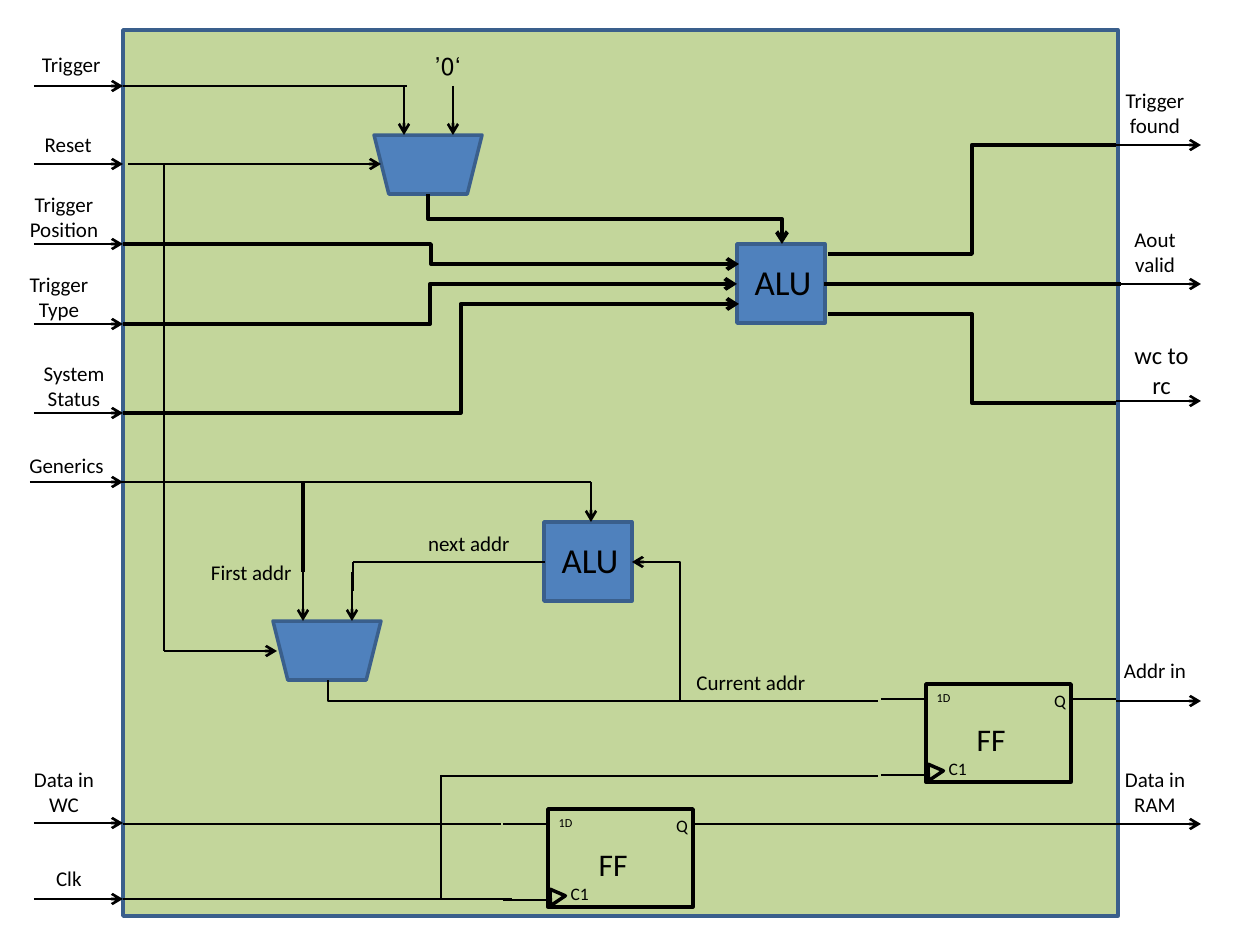
from lxml import etree
from pptx import Presentation
from pptx.dml.color import RGBColor
from pptx.enum.shapes import MSO_CONNECTOR, MSO_SHAPE
from pptx.enum.text import MSO_AUTO_SIZE, PP_ALIGN
from pptx.oxml.ns import qn
from pptx.util import Emu, Pt

STRAIGHT, ELBOW = MSO_CONNECTOR.STRAIGHT, MSO_CONNECTOR.ELBOW
RECT, TRAPEZOID, TRIANGLE = MSO_SHAPE.RECTANGLE, MSO_SHAPE.TRAPEZOID, MSO_SHAPE.ISOSCELES_TRIANGLE
CENTER, RIGHT = PP_ALIGN.CENTER, PP_ALIGN.RIGHT
FIT = MSO_AUTO_SIZE.SHAPE_TO_FIT_TEXT
BLACK, BLUE, EDGE, GREEN = "000000", "4F81BD", "3A5F8C", "C3D69B"
THICK = 2.25


def px(value):
    return Emu(round(value * 914400 / 126))


def rgb(value):
    return RGBColor.from_string(value)


class Diagram:
    """Draws the elements of a block diagram on one slide."""

    font = "Calibri"

    def __init__(self, slide):
        self.shapes = slide.shapes

    def block(self, kind, left, top, width, height, fill=None, edge=BLACK, turn=0):
        block = self.shapes.add_shape(kind, px(left), px(top), px(width), px(height))
        block.shadow.inherit = False
        block.rotation = turn
        if fill:
            block.fill.solid()
            block.fill.fore_color.rgb = rgb(fill)
        else:
            block.fill.background()
        block.line.color.rgb = rgb(edge)
        block.line.width = Pt(2)

    def label(self, text, left, top, width, height, size=12, align=CENTER):
        frame = self.shapes.add_textbox(px(left), px(top), px(width), px(height)).text_frame
        for name, value in {"word_wrap": True, "auto_size": FIT, "text": text}.items():
            setattr(frame, name, value)
        style = {"name": self.font, "size": Pt(size)}
        for paragraph in frame.paragraphs:
            paragraph.alignment = align
            paragraph._p.get_or_add_pPr().set("rtl", "1")
            for run in paragraph.runs:
                for name, value in style.items():
                    setattr(run.font, name, value)
                run.font.color.rgb = rgb(BLACK)

    def wire(self, x1, y1, x2, y2, arrow=None, weight=1.5, kind=STRAIGHT):
        wire = self.shapes.add_connector(kind, px(x1), px(y1), px(x2), px(y2))
        wire.line.color.rgb = rgb(BLACK)
        wire.line.width = Pt(weight)
        properties = wire.element.spPr
        if arrow:
            etree.SubElement(properties.find(qn("a:ln")), qn("a:" + arrow)).set("type", "arrow")
        etree.SubElement(properties, qn("a:effectLst"))
        return properties

    def step(self, x1, y1, x2, y2, arrow=None, bend=0.5):
        geometry = self.wire(x1, y1, x2, y2, arrow, THICK, ELBOW).find(qn("a:prstGeom"))
        values = geometry.find(qn("a:avLst"))
        if values is None:
            values = etree.SubElement(geometry, qn("a:avLst"))
        guide = etree.SubElement(values, qn("a:gd"))
        guide.set("name", "adj1")
        guide.set("fmla", f"val {round(bend * 100000)}")

    def drop(self, x1, y1, x2, y2, arrow=None):
        x, y = (x1 + x2) / 2, (y1 + y2) / 2
        run, fall = (x2 - x1) / 2, (y2 - y1) / 2
        properties = self.wire(x + fall, y - run, x - fall, y + run, arrow, THICK, ELBOW)
        properties.find(qn("a:xfrm")).set("rot", "16200000")

    def corner(self, x1, y1, x2, y2, arrow=None):
        properties = self.wire(x1, y1, x2, y2, arrow, kind=ELBOW)
        properties.find(qn("a:prstGeom")).set("prst", "bentConnector2")

    def mux(self, left, top):
        self.block(TRAPEZOID, left, top, 108, 59, BLUE, EDGE, 180)
        for x in (left + 30, left + 79):
            self.wire(x, top - 49, x, top, "tailEnd")

    def alu(self, left, top):
        self.block(RECT, left, top, 88, 79, BLUE, EDGE)
        self.label("ALU", left - 3, top + 10, 98, 55, 20)

    def flip_flop(self, left, top):
        self.block(RECT, left, top, 145, 98)
        self.block(TRIANGLE, left - 3, top + 79, 18, 14, turn=326.2)
        for x, y in ((-45, 91), (-45, 15), (145, 15)):
            self.wire(left + x, top + y, left + x + 45, top + y)
        self.label("FF", left + 34, top + 30, 58, 50, 18, RIGHT)
        self.label("C1", left + 4, top + 68, 55, 34, 10)
        self.label("1D", left - 9, top, 53, 28, 7)
        self.label("Q", left + 115, top, 38, 26, 10)


INPUTS = [
    ("Clk", 35, 859, 59, 38, RIGHT, 899),
    ("Reset", 25, 125, 79, 38, RIGHT, 164),
    ("Trigger", 25, 45, 88, 38, RIGHT, 86),
    ("Trigger\nType", 15, 265, 88, 63, CENTER, 324),
    ("Trigger\nPosition", 15, 185, 98, 63, CENTER, 244),
    ("System\nStatus", 25, 354, 98, 63, CENTER, 413),
    ("Data in WC", 15, 760, 98, 102, CENTER, 823),
    ("Generics", 5, 446, 123, 77, CENTER, 482),
]
OUTPUTS = [
    ("wc to rc", 1120, 334, 83, 72, 14, 401),
    ("Data in RAM", 1106, 760, 98, 63, 12, 824),
    ("Addr in", 1106, 651, 98, 38, 12, 701),
    ("Aout valid", 1106, 220, 98, 63, 12, 284),
    ("Trigger found", 1106, 81, 98, 63, 12, 145),
]
WIRES = [
    (128, 164, 381, 164, "tailEnd"),
    (123, 86, 407, 86),
    (123, 899, 512, 899),
    (123, 824, 501, 824),
    (730, 824, 1116, 824),
    (118, 482, 591, 482),
    (353, 562, 545, 562),
    (353, 562, 353, 591),
    (481, 701, 878, 701),
    (441, 776, 878, 776),
    (441, 775, 441, 899),
    (164, 165, 164, 651),
    (164, 651, 277, 651, "tailEnd"),
    (591, 482, 591, 522, "tailEnd"),
    (303, 482, 303, 572, None, THICK),
    (824, 284, 1121, 284, None, THICK),
]
STEPS = [
    (123, 244, 739, 264, "tailEnd"),
    (123, 413, 739, 304, "tailEnd", 0.548),
    (123, 324, 737, 284, "tailEnd"),
    (828, 254, 1116, 145),
    (828, 314, 1116, 403),
]
NOTES = [("First addr", 194, 553, 110), ("Current addr", 669, 663, 149), ("next addr", 412, 524, 110)]

deck = Presentation()
deck.slide_width, deck.slide_height = px(1260), px(945)
diagram = Diagram(deck.slides.add_slide(deck.slide_layouts[6]))

diagram.block(RECT, 123, 30, 995, 886, GREEN, EDGE)
for name, left, top, width, height, align, y in INPUTS:
    diagram.wire(30 if name == "Generics" else 34, y, 123, y, "tailEnd")
    diagram.label(name, left, top, width, height, align=align)
for name, left, top, width, height, size, y in OUTPUTS:
    diagram.wire(1116, y, 1201, y, "tailEnd")
    diagram.label(name, left, top, width, height, size)

for place in ((374, 135), (273, 621)):
    diagram.mux(*place)
for place in ((544, 522), (737, 244)):
    diagram.alu(*place)
for place in ((548, 809), (926, 684)):
    diagram.flip_flop(*place)

diagram.label("‘0’", 413, 45, 69, 43, 14)
for name, left, top, width in NOTES:
    diagram.label(name, left, top, width, 38, align=RIGHT)
for wire in WIRES:
    diagram.wire(*wire)
for step in STEPS:
    diagram.step(*step)
diagram.drop(428, 194, 782, 244, "tailEnd")
diagram.corner(632, 562, 680, 701, "headEnd")
diagram.corner(491, 701, 328, 680)

deck.save("out.pptx")
